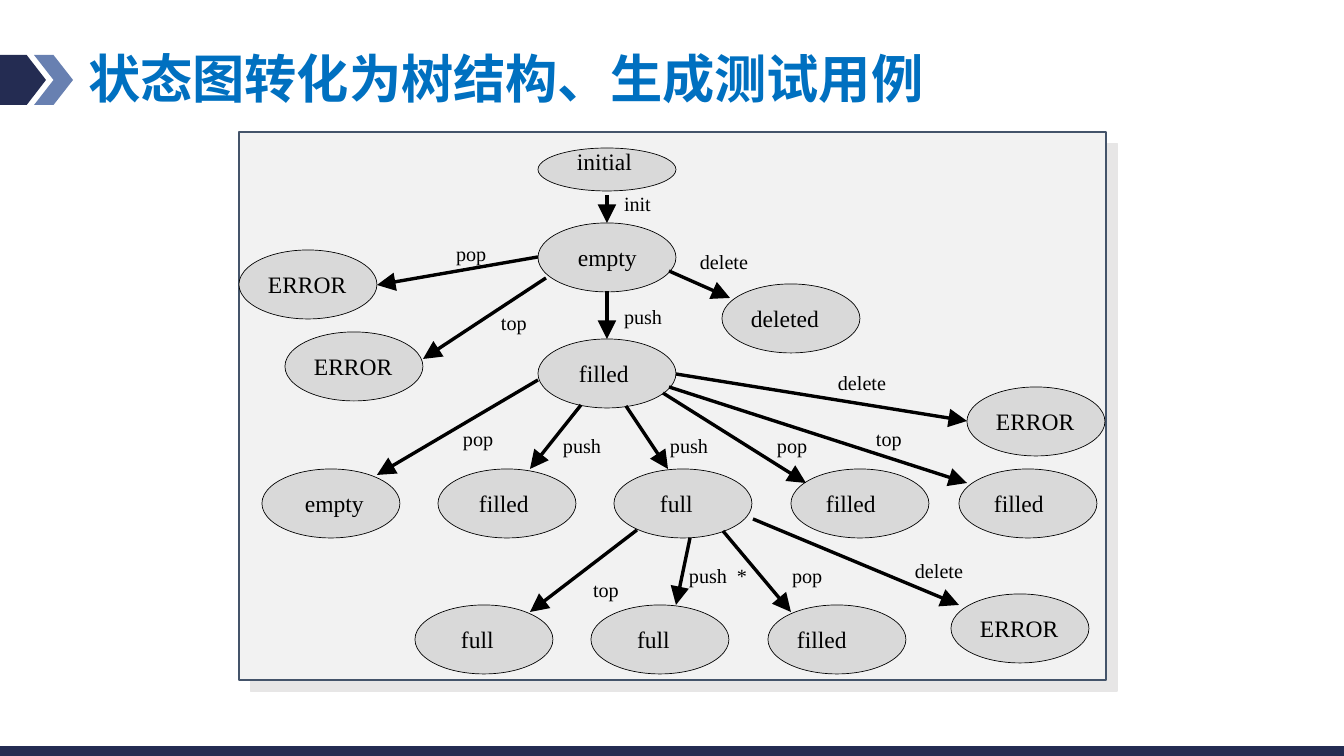
from dataclasses import dataclass

from pptx import Presentation
from pptx.dml.color import RGBColor
from pptx.enum.shapes import MSO_CONNECTOR as Link, MSO_SHAPE as Kind
from pptx.enum.text import MSO_ANCHOR as Anchor
from pptx.oxml import parse_xml
from pptx.oxml.ns import nsdecls, qn
from pptx.oxml.xmlchemy import OxmlElement as Tag
from pptx.util import Emu, Pt

NAVY = RGBColor(0x24, 0x2C, 0x52)
STEEL = RGBColor(0x68, 0x80, 0xB1)
BLUE = RGBColor(0x00, 0x70, 0xC0)
SLATE = RGBColor(0x44, 0x54, 0x6A)
PALE = RGBColor(0xF2, 0xF2, 0xF2)
GREY = RGBColor(0xD9, 0xD9, 0xD9)
BLACK = RGBColor(0, 0, 0)
SANS, SERIF = "Noto Sans CJK SC", "Times New Roman"
WIDE, HIGH = 1344, 756
NODE_W, NODE_H = 138, 69


@dataclass
class Node:
    x: int
    y: int
    text: str
    dx: int
    dy: int = 20
    high: int = NODE_H


@dataclass
class Edge:
    x1: int
    y1: int
    x2: int
    y2: int
    text: str
    left: int
    top: int


NODES = [
    Node(538, 148, "initial", 39, -1, 43),
    Node(538, 223, "empty", 40),
    Node(239, 250, "ERROR", 29),
    Node(285, 332, "ERROR", 29),
    Node(722, 284, "deleted", 29),
    Node(538, 339, "filled", 41),
    Node(967, 387, "ERROR", 29),
    Node(262, 469, "empty", 43),
    Node(438, 469, "filled", 41),
    Node(614, 469, "full", 46),
    Node(791, 469, "filled", 35),
    Node(959, 469, "filled", 35),
    Node(415, 605, "full", 46),
    Node(591, 605, "full", 46),
    Node(768, 605, "filled", 29),
    Node(951, 594, "ERROR", 29),
]
EDGES = [
    Edge(607, 195, 607, 223, "init", 624, 191),
    # From empty
    Edge(538, 257, 377, 285, "pop", 456, 241),
    Edge(546, 278, 423, 359, "top", 501, 310),
    Edge(607, 291, 607, 339, "push", 624, 304),
    Edge(669, 271, 730, 298, "delete", 700, 249),
    # From filled
    Edge(538, 380, 377, 475, "pop", 463, 426),
    Edge(581, 405, 530, 469, "push", 563, 433),
    Edge(626, 406, 668, 469, "push", 670, 433),
    Edge(663, 393, 806, 483, "pop", 777, 433),
    Edge(669, 387, 967, 483, "top", 876, 426),
    Edge(676, 374, 967, 421, "delete", 838, 370),
    # From full
    Edge(637, 530, 530, 612, "top", 593, 577),
    Edge(690, 538, 676, 605, "push", 689, 563),
    Edge(723, 531, 791, 612, "pop", 792, 563),
    Edge(753, 519, 959, 605, "delete", 915, 558),
]


def px(n: int) -> Emu:
    return Emu(round(n * 9144000 / WIDE))


def shape(kind: Kind, x: int, y: int, w: int, h: int, fill: RGBColor,
          line: RGBColor | None = None, width: float = 0.75):
    item = slide.shapes.add_shape(kind, px(x), px(y), px(w), px(h))
    item.shadow.inherit = False
    item.fill.solid()
    item.fill.fore_color.rgb = fill
    if line is None:
        item.line.fill.background()
    else:
        item.line.color.rgb = line
        item.line.width = Pt(width)
    return item


def label(text: str, x: int, y: int, size: float, high: int) -> None:
    wide = len(text) * (17 if text.isupper() else 13)
    box = slide.shapes.add_textbox(px(x), px(y), px(wide), px(high))
    frame = box.text_frame
    frame.margin_left = frame.margin_right = 0
    frame.margin_top = frame.margin_bottom = 0
    frame.word_wrap = False
    para = frame.paragraphs[0]
    para.text = text
    font = para.font
    font.name, font.size, font.color.rgb = SERIF, Pt(size), BLACK


def draw_node(node: Node) -> None:
    shape(Kind.OVAL, node.x, node.y, NODE_W, node.high, GREY, BLACK, 0.38)
    label(node.text, node.x + node.dx, node.y + node.dy, 12.6, 28)


def draw_edge(edge: Edge) -> None:
    arrow = slide.shapes.add_connector(
        Link.STRAIGHT, px(edge.x1), px(edge.y1), px(edge.x2), px(edge.y2))
    arrow.line.color.rgb = BLACK
    arrow.line.width = Pt(1.8)
    head = Tag("a:tailEnd")
    for key, value in (("type", "triangle"), ("w", "lg"), ("len", "lg")):
        head.set(key, value)
    arrow.line._get_or_add_ln().append(head)
    arrow._element.spPr.append(Tag("a:effectLst"))
    label(edge.text, edge.left, edge.top, 10.8, 24)


def draw_title(text: str) -> None:
    box = slide.shapes.add_textbox(px(75), px(43), px(1082), px(77))
    frame = box.text_frame
    frame.word_wrap = True
    frame.vertical_anchor = Anchor.MIDDLE
    para = frame.paragraphs[0]
    para.text = text
    para.line_spacing = 0.9
    font = para.font
    font.name, font.size, font.bold = SANS, Pt(28), True
    font.color.rgb = BLUE
    east = Tag("a:ea")
    east.set("typeface", SANS)
    para._p.pPr.find(qn("a:defRPr")).append(east)


def draw_panel() -> None:
    panel = shape(Kind.RECTANGLE, 239, 132, 867, 548, PALE, SLATE)
    panel._element.spPr.find(qn("a:effectLst")).append(parse_xml(
        f'<a:outerShdw {nsdecls("a")} dist="{Pt(8.5)}" dir="2700000" '
        'algn="ctr" rotWithShape="0"><a:srgbClr val="E7E6E6"/></a:outerShdw>'))


deck = Presentation()
deck.slide_width, deck.slide_height = px(WIDE), px(HIGH)
slide = deck.slides.add_slide(deck.slide_layouts[6])

# Header mark, footer bar and title
mark = shape(Kind.PENTAGON, 0, 55, 46, 50, NAVY)
mark.adjustments[0] = 0.42
shape(Kind.CHEVRON, 34, 55, 39, 50, STEEL)
shape(Kind.RECTANGLE, 0, 746, WIDE, 10, NAVY)
draw_title("状态图转化为树结构、生成测试用例")

# State tree
draw_panel()
for node in NODES:
    draw_node(node)
for edge in EDGES:
    draw_edge(edge)
label("*", 737, 563, 10.8, 24)

deck.save("out.pptx")
